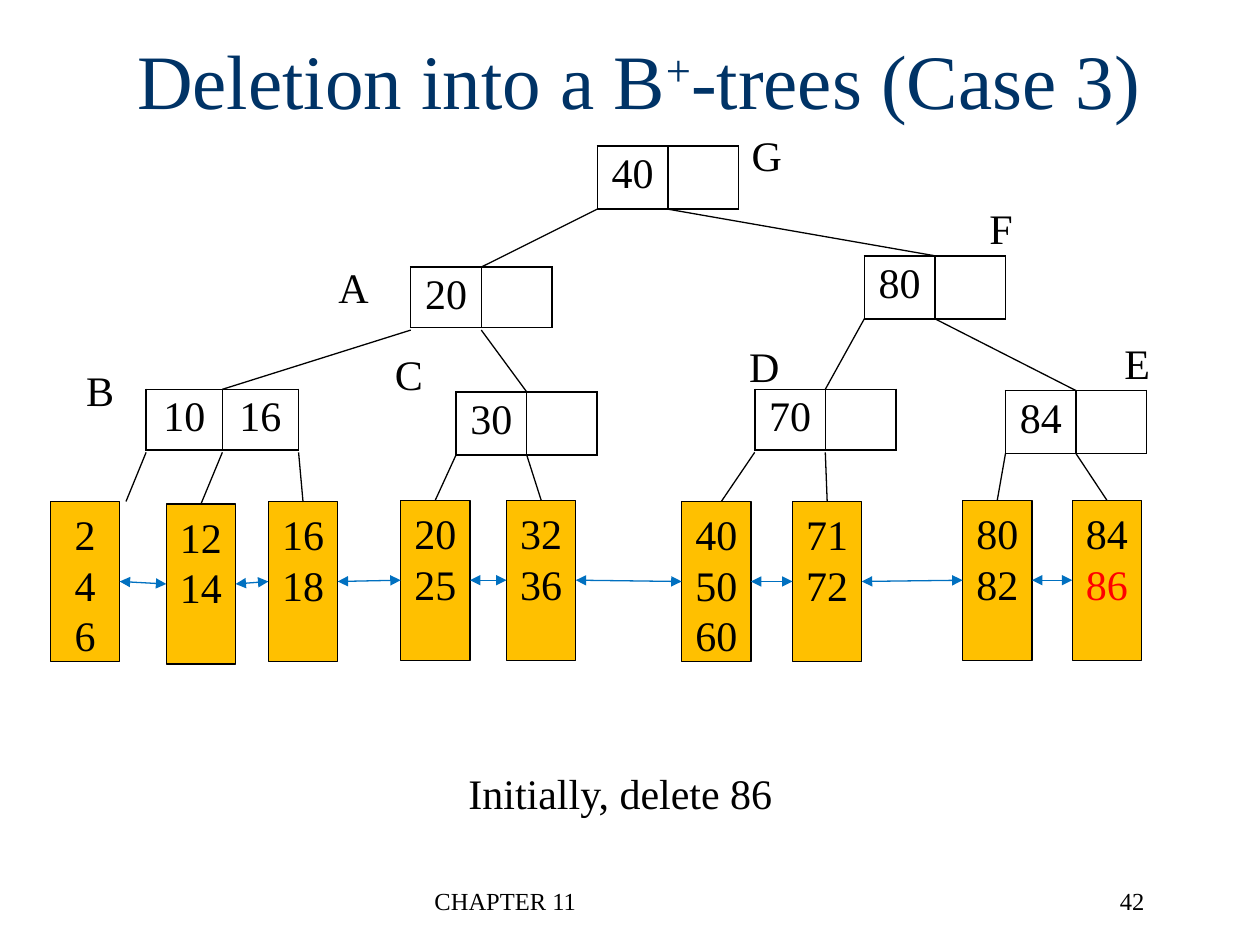
from dataclasses import dataclass

from lxml.etree import SubElement
from pptx import Presentation
from pptx.dml.color import RGBColor
from pptx.enum.shapes import MSO_CONNECTOR, MSO_SHAPE
from pptx.enum.text import MSO_ANCHOR, PP_ALIGN
from pptx.oxml import parse_xml
from pptx.oxml.ns import nsdecls, qn
from pptx.util import Inches, Pt

COLORS = {"title": "003366", "text": "000000", "node": "FFFFFF",
          "leaf": "FFC000", "link": "0070C0", "deleted": "FF0000"}
FONT = "Times New Roman"

# The slide is a grid of 100 columns by 75 rows
COLUMNS, ROWS = 100, 75
CELL = Inches(0.1)
NODE_HEIGHT = 5
LEAF_WIDTH, LEAF_HEIGHT = 5.5, 12.7


@dataclass
class Node:
    column: float
    row: float
    keys: tuple[str, str]
    label_box: tuple[float, float, float]
    width: float = 11.2
    drawn_height: float = 5


@dataclass
class Leaf:
    column: float
    row: float
    values: list[str]
    parent: str
    slot: int
    shift: float = 0  # distance of the edge's end from the leaf's middle


NODES = {
    "G": Node(47.4, 11.6, ("40", ""), (58.6, 9.8, 4.5)),
    "A": Node(32.6, 21.2, ("20", ""), (25.8, 20.3, 4.5), drawn_height=4.7),
    "F": Node(68.6, 20.3, ("80", ""), (77.5, 15.6, 3.9)),
    "B": Node(11.6, 30.9, ("10", "16"), (5.8, 28.4, 4.3), 12.1, 4.7),
    "C": Node(36.2, 31.1, ("30", ""), (30.3, 27.2, 4.3)),
    "D": Node(59.9, 30.9, ("70", ""), (58.4, 26.5, 4.5), drawn_height=4.7),
    "E": Node(79.8, 31, ("84", ""), (88.2, 26.3, 4.1)),
}
# Parent, slot of the parent (0 left, 1 middle, 2 right), child
BRANCHES = [("G", 0, "A"), ("G", 1, "F"), ("A", 0, "B"), ("A", 1, "C"),
            ("F", 0, "D"), ("F", 1, "E")]
LEAVES = [
    Leaf(4, 39.8, ["2", "4", "6"], "B", 0, 3.25),
    Leaf(13.2, 40, ["12", "14"], "B", 1),
    Leaf(21.3, 39.8, ["16", "18"], "B", 2),
    Leaf(31.8, 39.7, ["20", "25"], "C", 0),
    Leaf(40.2, 39.7, ["32", "36"], "C", 1),
    Leaf(54.1, 39.8, ["40", "50", "60"], "D", 0, 0.4),
    Leaf(62.9, 39.8, ["71", "72"], "D", 1),
    Leaf(76.4, 39.7, ["80", "82"], "E", 0),
    Leaf(85.1, 39.7, ["84", "86"], "E", 1),
]
DELETED_VALUE = "86"


def grid(*lengths: float) -> list[int]:
    return [round(length * CELL) for length in lengths]


def rgb(name: str) -> RGBColor:
    return RGBColor.from_string(COLORS[name])


def add_text(paragraph, text: str, *, size: float = 24, color: str = "text",
             align=PP_ALIGN.CENTER, baseline: int = 0) -> None:
    paragraph.alignment = align
    run = paragraph.add_run()
    run.text = text
    run.font.name, run.font.size = FONT, Pt(size)
    run.font.color.rgb = rgb(color)
    if baseline:
        run.font._element.set("baseline", str(baseline * 1000))


def add_label(slide, text: str, box: tuple, wrap: bool = False, **text_format) -> None:
    frame = slide.shapes.add_textbox(*grid(*box)).text_frame
    frame.word_wrap = wrap
    add_text(frame.paragraphs[0], text, **text_format)


def add_line(slide, start: tuple, end: tuple, color: str = "text",
             arrows: bool = False) -> None:
    connector = slide.shapes.add_connector(
        MSO_CONNECTOR.STRAIGHT, *grid(*start, *end))
    connector.line.color.rgb = rgb(color)
    connector.line.width = Pt(0.75)
    properties = connector._element.spPr
    if arrows:
        for tag in ("a:headEnd", "a:tailEnd"):
            SubElement(properties.find(qn("a:ln")), qn(tag), type="triangle")
    SubElement(properties, qn("a:effectLst"))


def add_borders(cell) -> None:
    properties = cell._tc.get_or_add_tcPr()
    for index, side in enumerate("LRTB"):
        properties.insert(index, parse_xml(
            f'<a:ln{side} {nsdecls("a")} w="12700"><a:solidFill>'
            f'<a:srgbClr val="{COLORS["text"]}"/></a:solidFill></a:ln{side}>'))


def add_node(slide, name: str, node: Node) -> None:
    table = slide.shapes.add_table(1, 2, *grid(
        node.column, node.row, node.width, node.drawn_height)).table
    table.first_row = table.horz_banding = False
    for cell, key in zip(table.rows[0].cells, node.keys):
        cell.margin_top = cell.margin_bottom = Inches(0.04)
        cell.fill.solid()
        cell.fill.fore_color.rgb = rgb("node")
        add_borders(cell)
        if key:
            add_text(cell.text_frame.paragraphs[0], key)
    add_label(slide, name, (*node.label_box, NODE_HEIGHT))


def add_leaf(slide, leaf: Leaf) -> None:
    shape = slide.shapes.add_shape(MSO_SHAPE.RECTANGLE, *grid(
        leaf.column, leaf.row, LEAF_WIDTH, LEAF_HEIGHT))
    shape.shadow.inherit = False
    shape.fill.solid()
    shape.fill.fore_color.rgb = rgb("leaf")
    shape.line.color.rgb = rgb("text")
    shape.line.width = Pt(0.75)
    frame = shape.text_frame
    frame.word_wrap = False
    frame.vertical_anchor = MSO_ANCHOR.TOP
    frame.margin_top = Inches(0.06)
    for index, value in enumerate(leaf.values):
        paragraph = frame.add_paragraph() if index else frame.paragraphs[0]
        add_text(paragraph, value,
                 color="deleted" if value == DELETED_VALUE else "text")


def slot_point(name: str, slot: int) -> tuple[float, float]:
    node = NODES[name]
    return node.column + slot * node.width / 2, node.row + NODE_HEIGHT


def main() -> None:
    presentation = Presentation()
    presentation.slide_width, presentation.slide_height = grid(COLUMNS, ROWS)
    slide = presentation.slides.add_slide(presentation.slide_layouts[5])

    # Title
    title = slide.shapes.title
    title.left, title.top, title.width, title.height = grid(6.4, 0, 88.6, 12.5)
    title.text_frame.vertical_anchor = MSO_ANCHOR.MIDDLE
    for text, baseline in (("Deletion into a B", 0), ("+", 30), ("-trees (Case 3)", 0)):
        add_text(title.text_frame.paragraphs[0], text, size=44, color="title",
                 baseline=baseline)

    # Inner nodes and the branches between them
    for name, node in NODES.items():
        add_node(slide, name, node)
    for parent, slot, child in BRANCHES:
        node = NODES[child]
        add_line(slide, slot_point(parent, slot),
                 (node.column + node.width / 2, node.row))

    # Leaves, their branches and the chain of links
    for leaf in LEAVES:
        add_leaf(slide, leaf)
        add_line(slide, slot_point(leaf.parent, leaf.slot),
                 (leaf.column + LEAF_WIDTH / 2 + leaf.shift, leaf.row))
    for left, right in zip(LEAVES, LEAVES[1:]):
        add_line(slide, (left.column + LEAF_WIDTH, left.row + LEAF_HEIGHT / 2),
                 (right.column, right.row + LEAF_HEIGHT / 2), "link", arrows=True)

    # Caption and footer
    add_label(slide, "Initially, delete 86", (36.1, 60.4, 26.3, 5))
    add_label(slide, "CHAPTER 11", (33.5, 69.8, 31.7, 5), wrap=True,
              size=14, align=PP_ALIGN.LEFT)
    add_label(slide, "42", (71, 69.8, 20.8, 5), wrap=True,
              size=14, align=PP_ALIGN.RIGHT)

    presentation.save("out.pptx")


if __name__ == "__main__":
    main()
